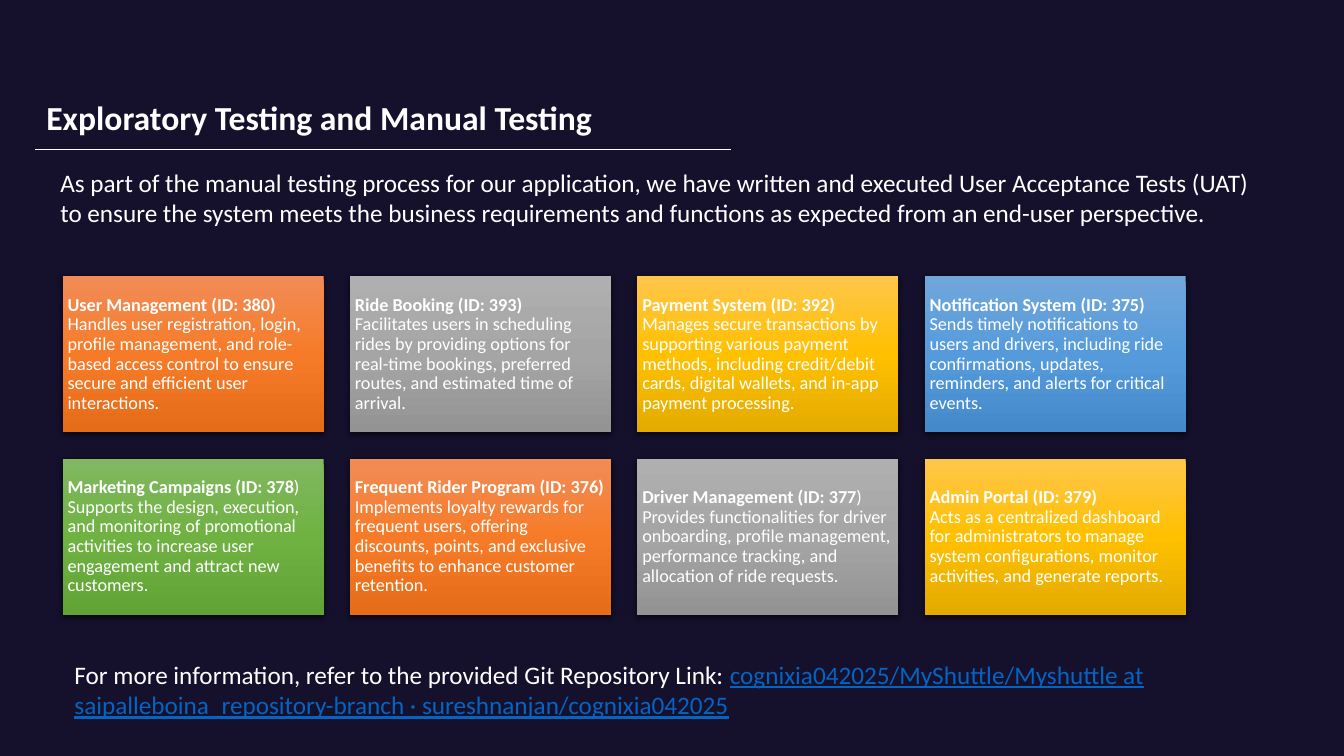
from dataclasses import dataclass

from pptx import Presentation
from pptx.dml.color import RGBColor
from pptx.enum.shapes import MSO_CONNECTOR, MSO_SHAPE
from pptx.enum.text import MSO_ANCHOR, MSO_AUTO_SIZE, PP_ALIGN
from pptx.oxml import parse_xml
from pptx.oxml.ns import nsdecls
from pptx.util import Pt

RECT = MSO_SHAPE.RECTANGLE
STRAIGHT = MSO_CONNECTOR.STRAIGHT
TOP, MIDDLE = MSO_ANCHOR.TOP, MSO_ANCHOR.MIDDLE
LEFT = PP_ALIGN.LEFT
NO_FIT, GROW = MSO_AUTO_SIZE.NONE, MSO_AUTO_SIZE.SHAPE_TO_FIT_TEXT

PX = 9144  # 100 px to the inch


@dataclass(frozen=True)
class Theme:
    font: str = "Calibri"
    background: str = "15102C"
    text: str = "FFFFFF"
    link: str = "0563C1"
    title_size: int = 24
    body_size: int = 18
    card_size: int = 13
    # Card gradients, top to bottom
    orange: tuple = ("F18C57", "F67B28", "E56C19")
    gray: tuple = ("AFAFAF", "A5A5A5", "939393")
    gold: tuple = ("FFC64B", "FFC000", "E3AB00")
    blue: tuple = ("71A6DB", "559BDB", "448ACA")
    green: tuple = ("81B861", "6FB242", "62A336")


THEME = Theme()

# Bold heading, regular ending of the heading, description, gradient
CARDS = [
    ("User Management (ID: 380)", "",
     "Handles user registration, login, profile management, and role-based "
     "access control to ensure secure and efficient user interactions.",
     THEME.orange),
    ("Ride Booking (ID: 393)", "",
     "Facilitates users in scheduling rides by providing options for real-time "
     "bookings, preferred routes, and estimated time of arrival.",
     THEME.gray),
    ("Payment System (ID: 392)", "",
     "Manages secure transactions by supporting various payment methods, including "
     "credit/debit cards, digital wallets, and in-app payment processing.",
     THEME.gold),
    ("Notification System (ID: 375)", "",
     "Sends timely notifications to users and drivers, including ride "
     "confirmations, updates, reminders, and alerts for critical events.",
     THEME.blue),
    ("Marketing Campaigns (ID: 378", ")",
     "Supports the design, execution, and monitoring of promotional activities "
     "to increase user engagement and attract new customers.",
     THEME.green),
    ("Frequent Rider Program (ID: 376)", "",
     "Implements loyalty rewards for frequent users, offering discounts, points, "
     "and exclusive benefits to enhance customer retention.",
     THEME.orange),
    ("Driver Management (ID: 377", ")",
     "Provides functionalities for driver onboarding, profile management, "
     "performance tracking, and allocation of ride requests.",
     THEME.gray),
    ("Admin Portal (ID: 379)", "",
     "Acts as a centralized dashboard for administrators to manage system "
     "configurations, monitor activities, and generate reports.",
     THEME.gold),
]
COLUMNS = 4
CARD_LEFT, CARD_TOP = 62, 274
CARD_WIDTH, CARD_HEIGHT = 259, 155
CARD_GAP = 26


def px(*lengths):
    return [length * PX for length in lengths]


def write(p, text, size=THEME.body_size, color=THEME.text, bold=False, underline=False):
    r = p.add_run()
    r.text = text
    r.font.name = THEME.font
    r.font.size = Pt(size)
    r.font.bold = bold
    r.font.underline = underline
    r.font.color.rgb = RGBColor.from_string(color)


def add_title(s, text, left, top, width, height):
    title = s.shapes.title
    title.left, title.top, title.width, title.height = px(left, top, width, height)
    tf = title.text_frame
    tf.auto_size = NO_FIT
    tf.vertical_anchor = TOP
    p = tf.paragraphs[0]
    p.alignment = LEFT
    write(p, text, size=THEME.title_size, bold=True)


def add_rule(s, left, right, y):
    rule = s.shapes.add_connector(STRAIGHT, *px(left, y, right, y))
    rule.line.width = Pt(0.5)
    rule.line.color.rgb = RGBColor.from_string(THEME.text)
    rule._element.spPr.append(parse_xml(f"<a:effectLst {nsdecls('a')}/>"))


def add_text(s, left, top, width, height):
    """Add a wrapping text box and return its first paragraph."""
    tf = s.shapes.add_textbox(*px(left, top, width, height)).text_frame
    tf.word_wrap = True
    tf.auto_size = GROW
    return tf.paragraphs[0]


def shade(sp, colors):
    """Give a shape a vertical gradient, no outline and a soft shadow below."""
    sp.line.fill.background()
    stops = "".join(
        f'<a:gs pos="{i * 50000}"><a:srgbClr val="{color}"/></a:gs>'
        for i, color in enumerate(colors))
    gradient = parse_xml(
        f"<a:gradFill {nsdecls('a')}><a:gsLst>{stops}</a:gsLst>"
        '<a:lin ang="5400000" scaled="0"/></a:gradFill>')
    spPr = sp._element.spPr
    spPr.ln.addprevious(gradient)
    spPr.append(parse_xml(
        f"<a:effectLst {nsdecls('a')}>"
        '<a:outerShdw blurRad="57150" dist="19050" dir="5400000" algn="ctr" '
        'rotWithShape="0"><a:srgbClr val="000000"><a:alpha val="63000"/>'
        "</a:srgbClr></a:outerShdw></a:effectLst>"))


def add_card(s, left, top, heading, ending, description, colors):
    sp = s.shapes.add_shape(RECT, *px(left, top, CARD_WIDTH, CARD_HEIGHT))
    shade(sp, colors)
    tf = sp.text_frame
    tf.word_wrap = True
    tf.vertical_anchor = MIDDLE
    tf.margin_left = tf.margin_top = tf.margin_right = tf.margin_bottom = 5 * PX
    p = tf.paragraphs[0]
    p.alignment = LEFT
    p.line_spacing = 0.9
    write(p, heading, size=THEME.card_size, bold=True)
    if ending:
        write(p, ending, size=THEME.card_size)
    p.add_line_break()
    write(p, description, size=THEME.card_size)


def main():
    prs = Presentation()
    prs.slide_width, prs.slide_height = px(1333, 750)
    s = prs.slides.add_slide(prs.slide_layouts.get_by_name("Title Only"))
    s.background.fill.solid()
    s.background.fill.fore_color.rgb = RGBColor.from_string(THEME.background)

    add_title(s, "Exploratory Testing and Manual Testing", 36, 91, 605, 50)
    add_rule(s, 35, 725, 148)

    write(add_text(s, 50, 161, 1225, 71),
          "As part of the manual testing process for our application, we have written "
          "and executed User Acceptance Tests (UAT) to ensure the system meets the "
          "business requirements and functions as expected from an end-user perspective.")

    for i, card in enumerate(CARDS):
        row, column = divmod(i, COLUMNS)
        add_card(s, CARD_LEFT + column * (CARD_WIDTH + CARD_GAP),
                 CARD_TOP + row * (CARD_HEIGHT + CARD_GAP), *card)

    p = add_text(s, 64, 649, 1154, 71)
    write(p, "For more information, refer to the provided Git Repository Link: ")
    write(p, "cognixia042025/MyShuttle/Myshuttle at "
             "saipalleboina_repository-branch · sureshnanjan/cognixia042025",
          color=THEME.link, underline=True)

    prs.save("out.pptx")


if __name__ == "__main__":
    main()
